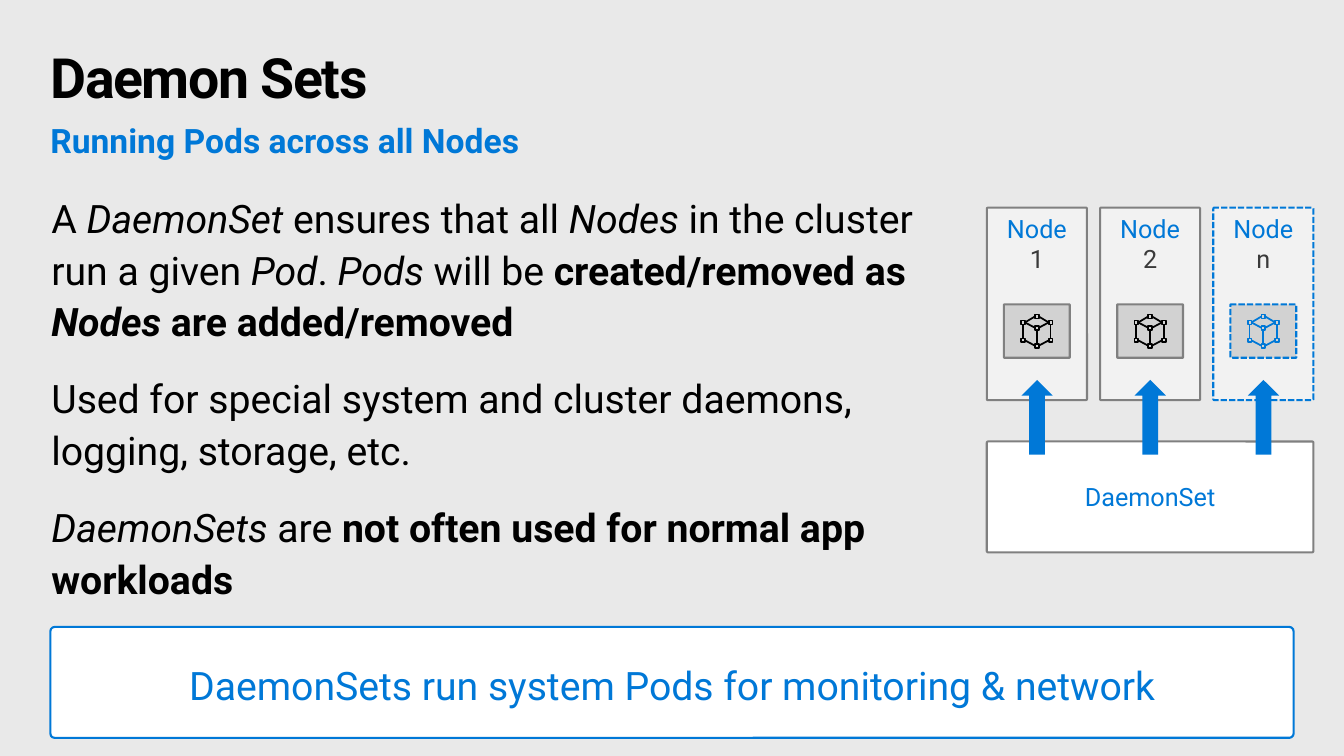
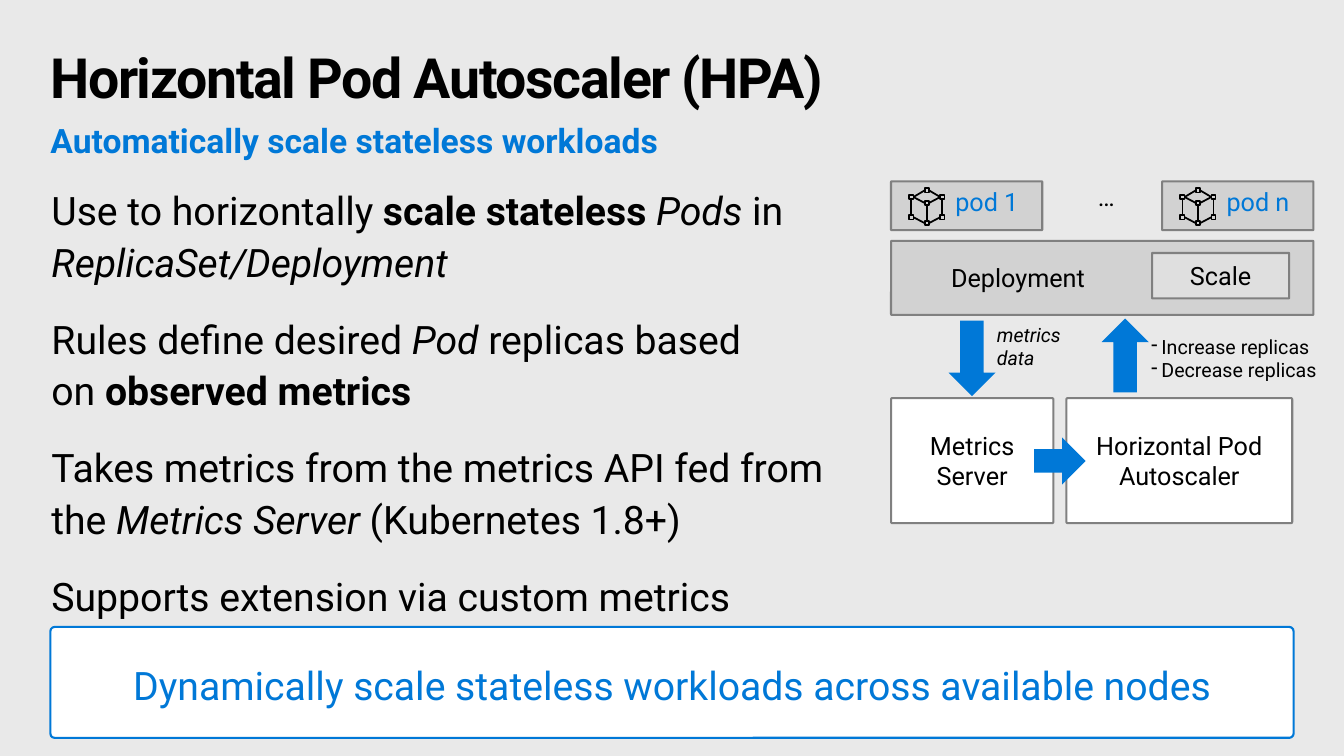
from collections import namedtuple
from lxml.etree import SubElement
from pptx import Presentation
from pptx.dml.color import RGBColor
from pptx.enum.dml import MSO_LINE
from pptx.enum.shapes import MSO_SHAPE
from pptx.enum.text import MSO_ANCHOR, PP_ALIGN
from pptx.oxml.ns import qn
from pptx.util import Emu, Pt

COLS, ROWS = 80, 45
CELL = 152400
FONT = "Roboto"
HUES = {
    "back": "E9E9E9",
    "blue": "0078D7",
    "black": "000000",
    "white": "FFFFFF",
    "pale": "F2F2F2",
    "tile": "D2D2D2",
    "gray": "808080",
    "ink": "3A3A3A",
}
KNOTS = {
    "top": (0.5, 0.06),
    "left": (0.06, 0.24),
    "right": (0.94, 0.24),
    "mid": (0.5, 0.4),
    "lowleft": (0.06, 0.78),
    "lowright": (0.94, 0.78),
    "base": (0.5, 0.94),
}
EDGES = [
    ("left", "top"), ("top", "right"), ("left", "mid"), ("mid", "right"),
    ("left", "lowleft"), ("mid", "base"), ("right", "lowright"),
    ("lowleft", "base"), ("base", "lowright"),
]
HALF = 0.06

Box = namedtuple("Box", "x y w h")


def inner(box, x, y, w, h):
    return Box(box.x + x, box.y + y, w, h)


def center(box, w, h):
    return inner(box, (box.w - w) / 2, (box.h - h) / 2, w, h)


def cells(*nums):
    return [Emu(round(num * CELL)) for num in nums]


def tint(hue):
    return RGBColor.from_string(HUES[hue])


def paint(shape, fill, line=None, width=1.5, dash=False):
    shape.shadow.inherit = False
    shape.fill.solid()
    shape.fill.fore_color.rgb = tint(fill)
    if line is None:
        shape.line.fill.background()
        return
    shape.line.color.rgb = tint(line)
    shape.line.width = Pt(width)
    if dash:
        shape.line.dash_style = MSO_LINE.SQUARE_DOT


def put_run(para, text, style, size, hue, track):
    for i, part in enumerate(text.split("\n")):
        if i:
            para.add_line_break()
        if not part:
            continue
        run = para.add_run()
        run.text = part
        font = run.font
        font.name, font.size = FONT, Pt(size)
        font.bold, font.italic = "b" in style, "i" in style
        font.color.rgb = tint(hue)
        if track:
            run.font._element.set("spc", str(track))


def write(shape, paras, size=18, hue="black", align=PP_ALIGN.CENTER,
          anchor=MSO_ANCHOR.TOP, pad=(0.6, 0.3, 0.6, 0.3), lead=None,
          before=0, after=0, track=0, wrap=True, dash=False):
    frame = shape.text_frame
    frame.word_wrap = wrap
    frame.vertical_anchor = anchor
    (frame.margin_left, frame.margin_top,
     frame.margin_right, frame.margin_bottom) = cells(*pad)
    for i, runs in enumerate(paras):
        para = frame.add_paragraph() if i else frame.paragraphs[0]
        para.alignment = align
        para.space_before = Pt(before if i else 0)
        para.space_after = Pt(after)
        if lead:
            para.line_spacing = lead
        if dash:
            props = para._p.get_or_add_pPr()
            props.set("marL", "93000")
            props.set("indent", "-93000")
            SubElement(props, qn("a:buChar")).set("char", "-")
        for text, style, *own in runs:
            put_run(para, text, style, size, own[0] if own else hue, track)


def label(slide, box, paras, size, **opts):
    shape = slide.shapes.add_textbox(*cells(*box))
    opts = {"align": PP_ALIGN.LEFT, "pad": (0, 0, 0, 0), **opts}
    write(shape, paras, size, **opts)


def panel(slide, box, fill, line="gray", bend=0.012, dash=False):
    shape = slide.shapes.add_shape(MSO_SHAPE.ROUNDED_RECTANGLE, *cells(*box))
    shape.adjustments[0] = bend
    paint(shape, fill, line, dash=dash)
    return shape


def arrow(slide, kind, box):
    paint(slide.shapes.add_shape(kind, *cells(*box)), "blue")


def cube(slide, box, line="black"):
    def spot(x, y):
        return cells(box.x + x * box.w, box.y + y * box.h)

    paths = []
    for x, y in KNOTS.values():
        paths.append([spot(x + dx * HALF, y + dy * HALF)
                      for dx, dy in ((-1, -1), (1, -1), (1, 1), (-1, 1), (-1, -1))])
    for start, end in EDGES:
        (x1, y1), (x2, y2) = KNOTS[start], KNOTS[end]
        dx, dy = (0, HALF) if x1 == x2 else (HALF, 0)
        paths.append([spot(x1 + dx, y1 + dy), spot(x2 - dx, y2 - dy)])
    pen = slide.shapes.build_freeform(*paths[0][0], scale=1.0)
    for i, path in enumerate(paths):
        if i:
            pen.move_to(*path[0])
        pen.add_line_segments(path[1:], close=False)
    paint(pen.convert_to_shape(), "tile", line, 1.25)


def frame_slide(deck, title, claim, motto):
    slide = deck.slides.add_slide(deck.slide_layouts[6])
    label(slide, Box(3, 3, 64.74, 3.9), [[(title, "b")]], 39.6,
          lead=0.9, track=-100)
    label(slide, Box(3, 6.9, 42.4, 4.4), [[(claim, "b")]], 24,
          hue="blue", lead=1.1, after=6)
    band = panel(slide, Box(3, 37.32, 74, 6.6), "white", "blue", 0.038)
    write(band, [[(motto, "")]], 28, "blue", anchor=MSO_ANCHOR.MIDDLE,
          pad=(0.9, 0.72, 0.9, 0.72), lead=1.1, after=6)
    return slide


def prose(slide, box, paras):
    label(slide, box, paras, 28, lead=1.1, before=12, after=6)


def node(slide, box, name, line, mark):
    dash = line == "blue"
    shape = panel(slide, box, "pale", line, dash=dash)
    write(shape, [[("Node", "", "blue")], [(name, "", "ink")]])
    tile = inner(box, 1.02, 5.76, 3.92, 3.18)
    panel(slide, tile, "tile", line, dash=dash)
    cube(slide, center(tile, 1.86, 1.98), mark)


def draw_nodes(slide, box):
    wide = 5.96
    step = (box.w - wide) / 2
    looks = [("1", "gray", "black"), ("2", "gray", "black"), ("n", "blue", "blue")]
    for i, look in enumerate(looks):
        node(slide, inner(box, i * step, 0, wide, 11.46), *look)
    base = panel(slide, inner(box, 0, 13.92, box.w, 6.6), "white")
    write(base, [[("DaemonSet", "")]], hue="blue", anchor=MSO_ANCHOR.MIDDLE)
    for i in range(len(looks)):
        arrow(slide, MSO_SHAPE.UP_ARROW,
              inner(box, i * step + 2.06, 10.26, 1.86, 4.44))


def pod(slide, box, name):
    shape = panel(slide, box, "tile")
    write(shape, [[(name, "")]], hue="blue", pad=(3, 0.3, 0.6, 0.3))
    cube(slide, inner(box, 1.08, 0.4, 2.1, 2.22))


def draw_scaler(slide, box):
    wide = 9
    for x, name in ((0, "pod 1"), (box.w - wide, "pod n")):
        pod(slide, inner(box, x, 0, wide, 2.9), name)
    label(slide, inner(box, 10.44, 0, 4.74, 2.04), [[("…", "")]], 18,
          align=PP_ALIGN.CENTER)

    deploy = panel(slide, inner(box, 0, 3.54, box.w, 4.4), "tile", bend=0.01)
    write(deploy, [[("Deployment", "")]], align=PP_ALIGN.LEFT,
          anchor=MSO_ANCHOR.MIDDLE, pad=(3.56, 0.3, 0.6, 0.3))
    scale = panel(slide, inner(box, 15.54, 4.26, 8.16, 2.7), "white", bend=0.01)
    shade = scale.fill._xPr.find(qn("a:solidFill"))[0]
    SubElement(shade, qn("a:alpha")).set("val", "30000")
    write(scale, [[("Scale", "")]], anchor=MSO_ANCHOR.MIDDLE)

    for x, w, name in ((0, 9.66, "Metrics\nServer"),
                       (10.44, 13.44, "Horizontal Pod Autoscaler")):
        shape = panel(slide, inner(box, x, 12.9, w, 7.44), "white", bend=0.01)
        write(shape, [[(name, "")]], anchor=MSO_ANCHOR.MIDDLE)

    for kind, *place in ((MSO_SHAPE.DOWN_ARROW, 3.42, 8.28, 2.8, 4.5),
                         (MSO_SHAPE.UP_ARROW, 12.54, 8.16, 2.8, 4.4),
                         (MSO_SHAPE.RIGHT_ARROW, 8.52, 15.24, 3.06, 2.8)):
        arrow(slide, kind, inner(box, *place))
    label(slide, inner(box, 6.3, 8.4, 4.08, 2.82), [[("metrics\ndata", "i")]],
          14, wrap=False)
    label(slide, inner(box, 15.48, 9.12, 9.9, 2.82),
          [[("Increase replicas", "")], [("Decrease replicas", "")]],
          14, wrap=False, dash=True)


def daemon_slide(deck):
    slide = frame_slide(deck, "Daemon Sets", "Running Pods across all Nodes",
                        "DaemonSets run system Pods for monitoring & network")
    prose(slide, Box(3.06, 11.28, 53.88, 24.72), [
        [("A ", ""), ("DaemonSet", "i"), (" ensures that all ", ""),
         ("Nodes", "i"), (" in the cluster run a given ", ""), ("Pod", "i"),
         (". ", ""), ("Pods", "i"), (" will be ", ""),
         ("created/removed as ", "b"), ("Nodes", "bi"),
         (" are added/removed", "b")],
        [("Used for special system and cluster daemons, logging, storage, etc.", "")],
        [("DaemonSets", "i"), (" are ", ""),
         ("not often used for normal app workloads", "b")],
    ])
    draw_nodes(slide, Box(58.74, 12.36, 19.44, 20.52))


def scaler_slide(deck):
    slide = frame_slide(deck, "Horizontal Pod Autoscaler (HPA)",
                        "Automatically scale stateless workloads",
                        "Dynamically scale stateless workloads across available nodes")
    prose(slide, Box(3.06, 10.8, 47.52, 27.3), [
        [("Use to horizontally ", ""), ("scale stateless ", "b"), ("Pods", "i"),
         (" in ", ""), ("ReplicaSet/Deployment", "i")],
        [("Rules define desired ", ""), ("Pod", "i"),
         (" replicas based\non ", ""), ("observed metrics", "b")],
        [("Takes metrics from the metrics API fed from the ", ""),
         ("Metrics Server ", "i"), ("(Kubernetes 1.8+)", "")],
        [("Supports extension via custom metrics", "")],
    ])
    draw_scaler(slide, Box(53.04, 10.8, 25.14, 20.34))


def main():
    deck = Presentation()
    deck.slide_width, deck.slide_height = cells(COLS, ROWS)
    back = deck.slide_master.background.fill
    back.solid()
    back.fore_color.rgb = tint("back")
    daemon_slide(deck)
    scaler_slide(deck)
    deck.save("out.pptx")


if __name__ == "__main__":
    main()
